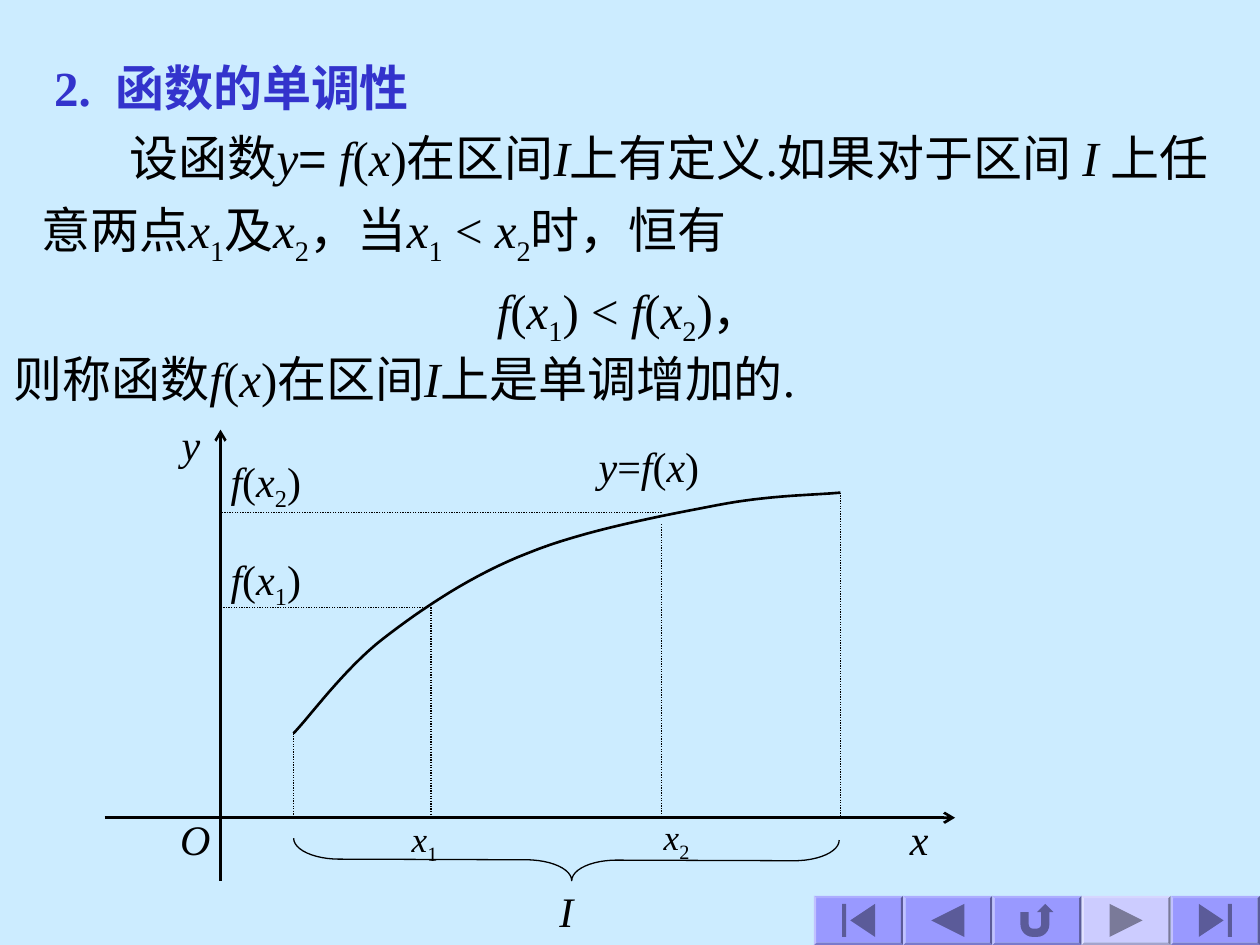
from itertools import groupby

from lxml.etree import SubElement
from pptx import Presentation
from pptx.dml.color import RGBColor
from pptx.enum.dml import MSO_LINE
from pptx.enum.shapes import MSO_CONNECTOR, MSO_SHAPE as Shape
from pptx.enum.text import MSO_ANCHOR as Anchor, MSO_AUTO_SIZE as AutoSize, PP_ALIGN as Align
from pptx.oxml.ns import qn
from pptx.util import Inches, Pt

SERIF = "Times New Roman"
INK = "000000"
SUBSCRIPTS = {"₁": "1", "₂": "2"}


def color(value):
    """Return the colour for a hex string."""
    return RGBColor.from_string(value)


def apply(target, **values):
    """Set each named attribute on the target."""
    for name, value in values.items():
        setattr(target, name, value)


def character_style(character):
    """Tell variables and subscripts from plain text."""
    if character in SUBSCRIPTS:
        return "subscript"
    return "variable" if character.isascii() and character.isalpha() else "plain"


def write_math(paragraph, text, size, equals_font=SERIF):
    """Add runs with italic variables and lowered indices."""
    for (style, is_equals), group in groupby(text, lambda c: (character_style(c), c == "=")):
        run = paragraph.add_run()
        run.text = "".join(SUBSCRIPTS.get(character, character) for character in group)
        apply(run.font, name=equals_font if is_equals else SERIF, size=Pt(size),
              italic=style == "variable")
        run.font.color.rgb = color(INK)
        if style == "subscript":
            run.font._element.set("baseline", "-25000")


def add_text_box(slide, box, margins, **frame_values):
    """Add a text box with horizontal and vertical margins and return its frame."""
    frame = slide.shapes.add_textbox(*map(Inches, box)).text_frame
    side, end = map(Inches, margins)
    apply(frame, margin_left=side, margin_right=side, margin_top=end, margin_bottom=end,
          auto_size=AutoSize.SHAPE_TO_FIT_TEXT, **frame_values)
    return frame


def add_title(slide, box, text):
    """Format and place the title placeholder."""
    title = slide.shapes.title
    left, top, width, height = map(Inches, box)
    apply(title, left=left, top=top, width=width, height=height)
    frame = title.text_frame
    frame.text = text
    apply(frame, margin_left=Inches(0.1), margin_right=Inches(0.1), margin_top=0,
          margin_bottom=0, vertical_anchor=Anchor.MIDDLE, auto_size=AutoSize.NONE)
    paragraph = frame.paragraphs[0]
    apply(paragraph, alignment=Align.LEFT, line_spacing=1.2)
    apply(paragraph.font, name=SERIF, size=Pt(28), bold=True)
    paragraph.font.color.rgb = color("3333CC")


def add_definition(slide, box):
    """Write the definition with its centred inequality and its conclusion."""
    left, top, width, height = box
    frame = add_text_box(slide, (left, top, width, height), (0, 0), word_wrap=True)
    premise = frame.paragraphs[0]
    premise._p.get_or_add_pPr().set("indent", str(Inches(0.7)))
    write_math(premise, "设函数y= f(x)在区间I上有定义.如果对于区间 I "
               "上任意两点x₁及x₂，当x₁ < x₂时，恒有", 28, "Arial")
    inequality = frame.add_paragraph()
    inequality.alignment = Align.CENTER
    write_math(inequality, "f(x₁) < f(x₂)，", 28)
    conclusion_box = (left - 0.22, top + 1.75, 6.67, 0.56)
    conclusion = add_text_box(slide, conclusion_box, (0, 0), word_wrap=False).paragraphs[0]
    write_math(conclusion, "则称函数f(x)在区间I上是单调增加的.", 28)
    for paragraph in (premise, inequality, conclusion):
        paragraph.line_spacing = 1.2


def add_line(slide, start, end, width, dashed=False, arrow=False):
    """Draw a straight line, dashed or with an arrowhead at its end."""
    connector = slide.shapes.add_connector(
        MSO_CONNECTOR.STRAIGHT, *map(Inches, (*start, *end)))
    connector.line.width = Pt(width)
    connector.line.color.rgb = color(INK)
    if dashed:
        connector.line.dash_style = MSO_LINE.ROUND_DOT
    properties = connector._element.spPr
    if arrow:
        SubElement(properties.find(qn("a:ln")), qn("a:tailEnd")).set("type", "arrow")
    SubElement(properties, qn("a:effectLst"))


def format_outline(shape, width):
    """Leave only a plain outline on the shape."""
    shape.shadow.inherit = False
    shape.fill.background()
    shape.line.width = Pt(width)
    shape.line.color.rgb = color(INK)


def bezier_point(controls, t):
    """Evaluate a cubic Bezier curve."""
    weights = ((1 - t) ** 3, 3 * t * (1 - t) ** 2, 3 * t * t * (1 - t), t ** 3)
    return tuple(sum(w * c for w, c in zip(weights, axis)) for axis in zip(*controls))


def add_curve(slide, origin_x, origin_y, controls, steps=16):
    """Draw joined Bezier pieces given relative to the origin, with y upward."""
    points = [controls[0]]
    for first in range(0, len(controls) - 1, 3):
        piece = controls[first:first + 4]
        points += [bezier_point(piece, step / steps) for step in range(1, steps + 1)]
    start, *rest = [(Inches(origin_x + x), Inches(origin_y - y)) for x, y in points]
    builder = slide.shapes.build_freeform(*start)
    builder.add_line_segments(rest, close=False)
    format_outline(builder.convert_to_shape(), 1.5)


def add_graph(slide, box):
    """Draw the axes, the increasing curve, its guides, the brace and the labels."""
    left, top, width, height = box
    origin_x, origin_y = left + 0.92, top + 3.08

    def at(x, y):
        return origin_x + x, origin_y - y

    guides = [((1.67, 1.67), (1.67, 0)), ((3.5, 2.33), (3.5, 0)),
              ((3.5, 2.42), (0, 2.42)), ((1.67, 1.67), (0, 1.67)),
              ((0.58, 0.67), (0.58, 0)), ((4.92, 2.58), (4.92, 0))]
    for start, end in guides:
        add_line(slide, at(*start), at(*end), 0.75, dashed=True)
    add_line(slide, (left, origin_y), (left + width, origin_y), 1.5, arrow=True)
    add_line(slide, (origin_x, top + height), (origin_x, top), 1.5, arrow=True)
    add_curve(slide, origin_x, origin_y, [
        (0.58, 0.67), (0.7, 0.79), (0.98, 1.18), (1.29, 1.42), (1.6, 1.66), (2, 1.93),
        (2.44, 2.1), (2.88, 2.28), (3.52, 2.4), (3.94, 2.48), (4.35, 2.56),
        (4.71, 2.56), (4.92, 2.58)])

    brace = slide.shapes.add_shape(
        Shape.LEFT_BRACE, *map(Inches, (*at(2.58, 1.83), 0.33, 4.33)))
    brace.rotation = 270.2
    brace.adjustments[0], brace.adjustments[1] = 1.09, 0.51
    format_outline(brace, 0.75)

    labels = [("x₁", 1.32, -0.01, 0.6, 0.37, 20, 0.7), ("x₂", 3.32, -0.03, 0.6, 0.33, 20, 0.6),
              ("f(x₂)", -0.07, 2.85, 0.86, 0.42, 24, 0.7),
              ("f(x₁)", -0.07, 2.11, 0.86, 0.47, 24, 0.8),
              ("O", -0.42, -0.06, 0.44, 0.34, 24, 0.6), ("x", 5.37, -0.09, 0.35, 0.3, 24, 0.5),
              ("y", -0.41, 3.08, 0.35, 0.34, 24, 0.6), ("I", 2.59, -0.6, 0.31, 0.38, 24, 0.7),
              ("y=f(x)", 2.86, 2.9, 1.08, 0.34, 24, 0.6)]
    for text, x, y, label_width, label_height, size, spacing in labels:
        frame = add_text_box(slide, (*at(x, y), label_width, label_height), (0.1, 0.05),
                             word_wrap=False, vertical_anchor=Anchor.MIDDLE)
        paragraph = frame.paragraphs[0]
        apply(paragraph, alignment=Align.CENTER, line_spacing=spacing)
        write_math(paragraph, text, size)


def add_navigation(slide, box, edge=0.02):
    """Fill the box with equal action buttons on bevelled frames."""
    left, top, width, height = box
    buttons = [(Shape.ACTION_BUTTON_BEGINNING, "9999FF"),
               (Shape.ACTION_BUTTON_BACK_OR_PREVIOUS, "9999FF"),
               (Shape.ACTION_BUTTON_RETURN, "9999FF"),
               (Shape.ACTION_BUTTON_FORWARD_OR_NEXT, "CCCCFF"),
               (Shape.ACTION_BUTTON_END, "9999FF")]
    step = width / len(buttons)
    for index, (kind, fill) in enumerate(buttons):
        for outline, inset in ((Shape.BEVEL, 0), (kind, edge)):
            part = slide.shapes.add_shape(outline, *map(Inches, (
                left + index * step + inset, top + inset, step - 2 * inset, height - 2 * inset)))
            part.shadow.inherit = False
            part.fill.solid()
            part.fill.fore_color.rgb = color(fill)
            part.line.fill.background()
            if outline == Shape.BEVEL:
                part.adjustments[0] = edge / height


def main():
    """Build and save the slide."""
    presentation = Presentation()
    apply(presentation, slide_width=Inches(10), slide_height=Inches(7.5))
    slide = presentation.slides.add_slide(presentation.slide_layouts.get_by_name("Title Only"))
    slide.background.fill.solid()
    slide.background.fill.fore_color.rgb = color("CCECFF")
    add_title(slide, (0.33, 0.33, 3.63, 0.63), "2.  函数的单调性")
    add_graph(slide, (0.83, 3.41, 6.75, 3.58))
    add_definition(slide, (0.33, 0.92, 9.33, 1.83))
    add_navigation(slide, (6.46, 7.11, 3.54, 0.39))
    presentation.save("out.pptx")


if __name__ == "__main__":
    main()
